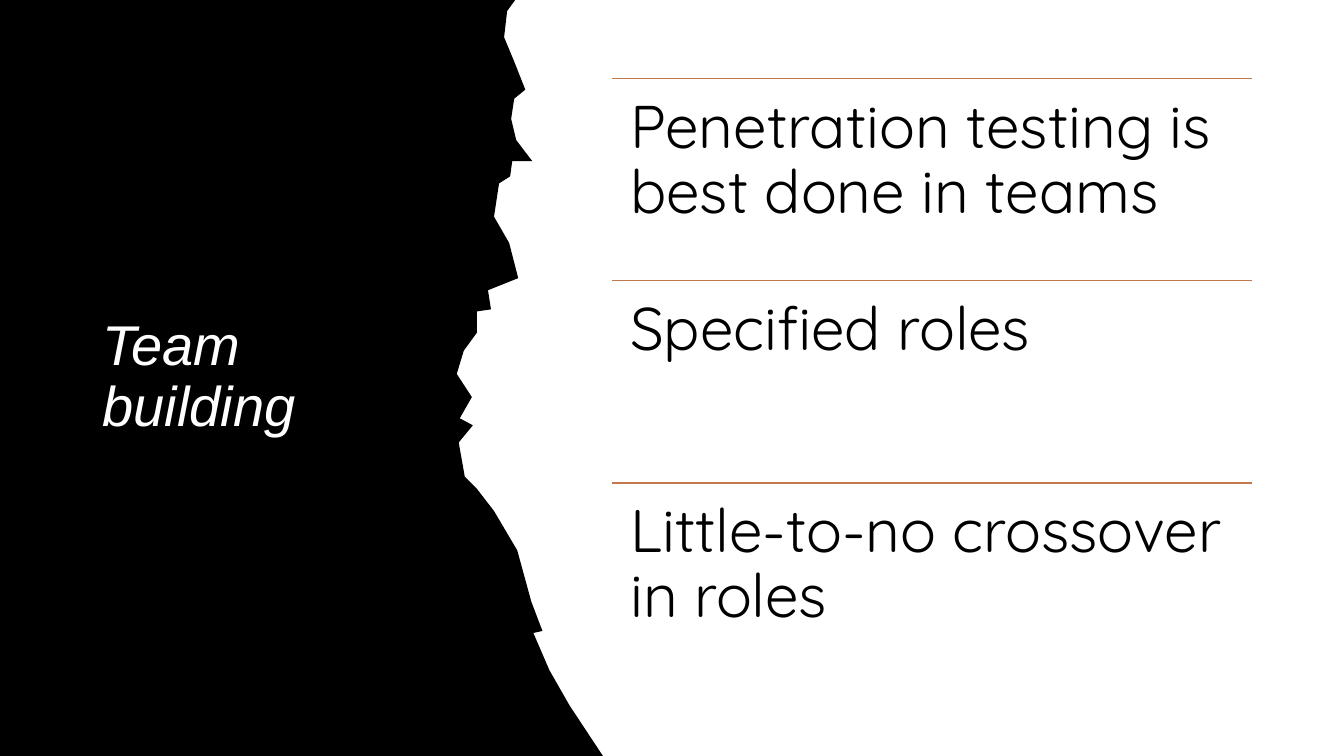
"""Build the team building slide: a torn black panel beside three ruled points."""
from dataclasses import dataclass

from pptx import Presentation
from pptx.dml.color import RGBColor
from pptx.enum import shapes, text
from pptx.oxml import parse_xml
from pptx.oxml.ns import nsdecls
from pptx.slide import Slide
from pptx.util import Inches, Pt

Point = tuple[float, float]


@dataclass(frozen=True)
class Theme:
    """Colours, fonts and type sizes."""
    panel: RGBColor = RGBColor.from_string("000000")
    title: RGBColor = RGBColor.from_string("FFFFFF")
    body: RGBColor = RGBColor.from_string("000000")
    rule: RGBColor = RGBColor.from_string("C3784D")
    title_font: str = "Arial"
    body_font: str = "Quicksand"
    title_size: int = 40
    body_size: int = 43


@dataclass(frozen=True)
class Box:
    """A rectangle in inches."""
    left: float
    top: float
    width: float
    height: float


@dataclass(frozen=True)
class RolePoint:
    """One statement and the box below its rule."""
    label: str
    box: Box


THEME = Theme()
WIDTH, HEIGHT = 13.33, 7.5
LABELS = ("Penetration testing is best done in teams", "Specified roles",
          "Little-to-no crossover in roles")
POINTS = [RolePoint(label, Box(6.07, 0.78 + 2.005 * i, 6.35, 2))
          for i, label in enumerate(LABELS)]
TORN_EDGE: list[Point] = [
    (5.11, 0), (5.03, 0.11), (5, 0.37), (5.1, 0.61), (5.21, 0.89), (5.1, 0.98),
    (5.07, 1.18), (5.12, 1.39), (5.28, 1.6), (5.08, 1.6), (5.06, 1.75),
    (4.95, 1.82), (4.9, 2.15), (5.05, 2.41), (5.14, 2.76), (4.84, 2.88),
    (4.87, 3.07), (4.73, 3.09), (4.73, 3.3), (4.6, 3.48), (4.53, 3.71),
    (4.68, 3.94), (4.56, 4.15), (4.69, 4.22), (4.55, 4.39), (4.61, 4.73),
    (4.73, 4.85), (4.9, 5.07), (5.13, 5.46), (5.27, 5.97), (5.38, 6.26),
    (5.29, 6.28), (5.45, 6.65), (5.65, 7), (5.98, HEIGHT),
]


def add_panel(s: Slide) -> None:
    """Draw the black panel with its torn right edge."""
    outline = [(Inches(x), Inches(y)) for x, y in [*TORN_EDGE, (0, HEIGHT)]]
    builder = s.shapes.build_freeform(0, 0)
    builder.add_line_segments(outline, close=True)
    sp = builder.convert_to_shape()
    sp.shadow.inherit = False
    sp.fill.solid()
    sp.fill.fore_color.rgb = THEME.panel
    sp.line.fill.background()


def add_text(s: Slide, label: str, box: Box, *, font: str, size: int,
             color: RGBColor, italic: bool = False, inset: Point = (0.1, 0.05),
             anchor: text.MSO_ANCHOR = text.MSO_ANCHOR.TOP) -> None:
    """Place a wrapped text box with one formatted paragraph."""
    sp = s.shapes.add_textbox(Inches(box.left), Inches(box.top),
                              Inches(box.width), Inches(box.height))
    tf = sp.text_frame
    tf.word_wrap = True
    tf.vertical_anchor = anchor
    tf.margin_left = tf.margin_right = Inches(inset[0])
    tf.margin_top = tf.margin_bottom = Inches(inset[1])
    p = tf.paragraphs[0]
    p.line_spacing = 0.9
    r = p.add_run()
    r.text = label
    r.font.name, r.font.size, r.font.italic = font, Pt(size), italic
    r.font.color.rgb = color


def add_rule(s: Slide, box: Box) -> None:
    """Draw a thin rule along the top of a box."""
    y = Inches(box.top)
    line = s.shapes.add_connector(shapes.MSO_CONNECTOR.STRAIGHT, Inches(box.left), y,
                                  Inches(box.left + box.width), y)
    line.line.color.rgb = THEME.rule
    line.line.width = Pt(1)
    line._element.spPr.append(parse_xml(f"<a:effectLst {nsdecls('a')}/>"))


def main() -> None:
    """Assemble and save the slide."""
    prs = Presentation()
    prs.slide_width, prs.slide_height = Inches(WIDTH), Inches(HEIGHT)
    s = prs.slides.add_slide(prs.slide_layouts[6])
    add_panel(s)
    add_text(s, "Team building", Box(0.92, 0.78, 3.5, 5.94), font=THEME.title_font,
             size=THEME.title_size, color=THEME.title, italic=True,
             anchor=text.MSO_ANCHOR.MIDDLE)
    for point in POINTS:
        add_rule(s, point.box)
        add_text(s, point.label, point.box, font=THEME.body_font,
                 size=THEME.body_size, color=THEME.body, inset=(0.18, 0.18))
    prs.save("out.pptx")


if __name__ == "__main__":
    main()
